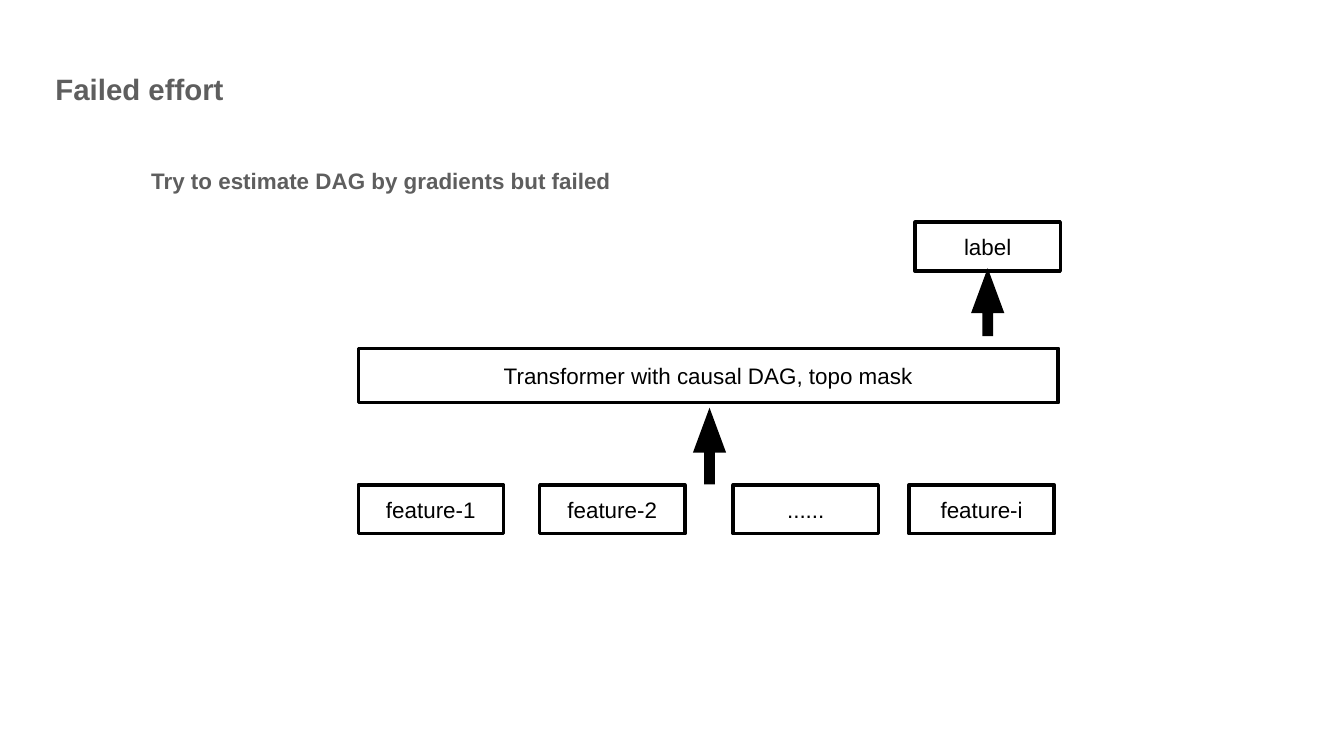
from pptx import Presentation
from pptx.dml.color import RGBColor
from pptx.enum import shapes, text
from pptx.util import Inches, Pt

HUES = {"ink": "000000", "head": "5E5E5E"}
KIND = shapes.MSO_SHAPE
ALIGN = text.PP_ALIGN


def hue(name):
    return RGBColor.from_string(HUES[name])


def write(shape, words, size, color, align, bold=False):
    frame = shape.text_frame
    frame.text = words
    frame.word_wrap = True
    frame.auto_size = text.MSO_AUTO_SIZE.NONE
    frame.vertical_anchor = text.MSO_ANCHOR.MIDDLE
    frame.margin_left = frame.margin_right = Inches(0.06)
    frame.margin_top = frame.margin_bottom = Inches(0.06)
    line = frame.paragraphs[0]
    line.alignment = align
    font = line.runs[0].font
    font.name, font.size, font.bold = "Arial", Pt(size), bold
    font.color.rgb = hue(color)


def add_box(slide, words, left, top, width=2.88, height=0.97):
    box = slide.shapes.add_shape(KIND.RECTANGLE, *map(Inches, (left, top, width, height)))
    box.shadow.inherit = False
    box.fill.background()
    box.line.color.rgb = hue("ink")
    box.line.width = Pt(5)
    write(box, words, 32, "ink", ALIGN.CENTER)


def add_arrow(slide, mid, top, height, width=0.66):
    """Draw an upward block arrow centred on mid."""
    arrow = slide.shapes.add_shape(
        KIND.UP_ARROW, *map(Inches, (mid - width / 2, top, width, height)))
    arrow.adjustments[0] = 0.32
    arrow.adjustments[1] = 1.353
    arrow.shadow.inherit = False
    arrow.fill.solid()
    arrow.fill.fore_color.rgb = hue("ink")
    arrow.line.fill.background()


def add_heads(slide, left, top):
    title = slide.shapes.title
    title.left, title.top = Inches(left), Inches(top)
    title.width, title.height = Inches(4.13), Inches(0.8)
    write(title, "Failed effort", 42, "head", ALIGN.LEFT, True)
    note = slide.shapes.add_textbox(
        *map(Inches, (left + 1.9, top + 1.89, 9.56, 0.64)))
    write(note, "Try to estimate DAG by gradients but failed", 32, "head",
          ALIGN.LEFT, True)


def add_model(slide, left, top, width):
    """Stack the features, the transformer and the label, bottom to top."""
    row = {"feature-1": 0, "feature-2": 3.6, "......": 7.44, "feature-i": 10.93}
    for words, step in row.items():
        add_box(slide, words, left + step, top + 5.21)
    add_box(slide, "Transformer with causal DAG, topo mask",
            left, top + 2.5, width, 1.08)
    add_box(slide, "label", left + 11.05, top)
    add_arrow(slide, left + 12.49, top + 0.91, 1.35)
    add_arrow(slide, left + 6.97, top + 3.68, 1.52)


def main():
    deck = Presentation()
    deck.slide_width, deck.slide_height = Inches(26.67), Inches(15)
    slide = deck.slides.add_slide(deck.slide_layouts[5])
    add_heads(slide, 1.04, 1.37)
    add_model(slide, 7.11, 4.41, 13.89)
    deck.save("out.pptx")


if __name__ == "__main__":
    main()
